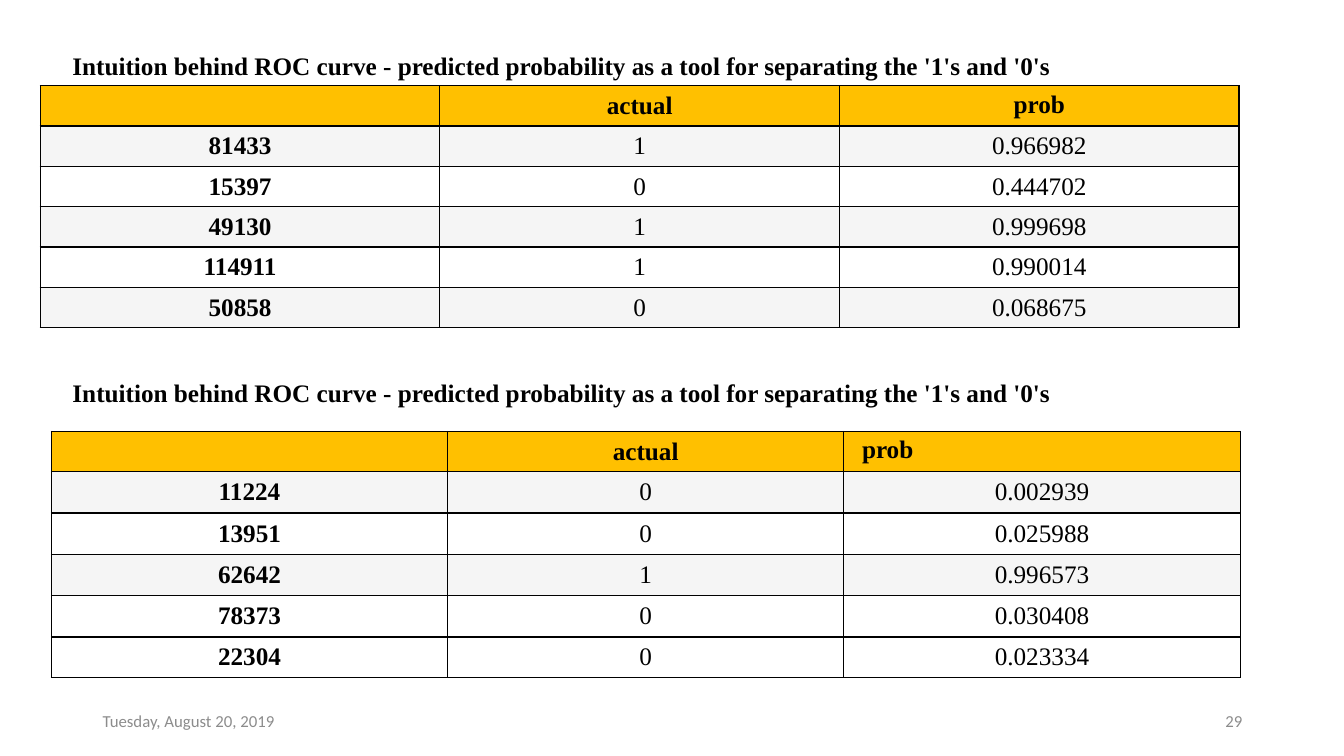
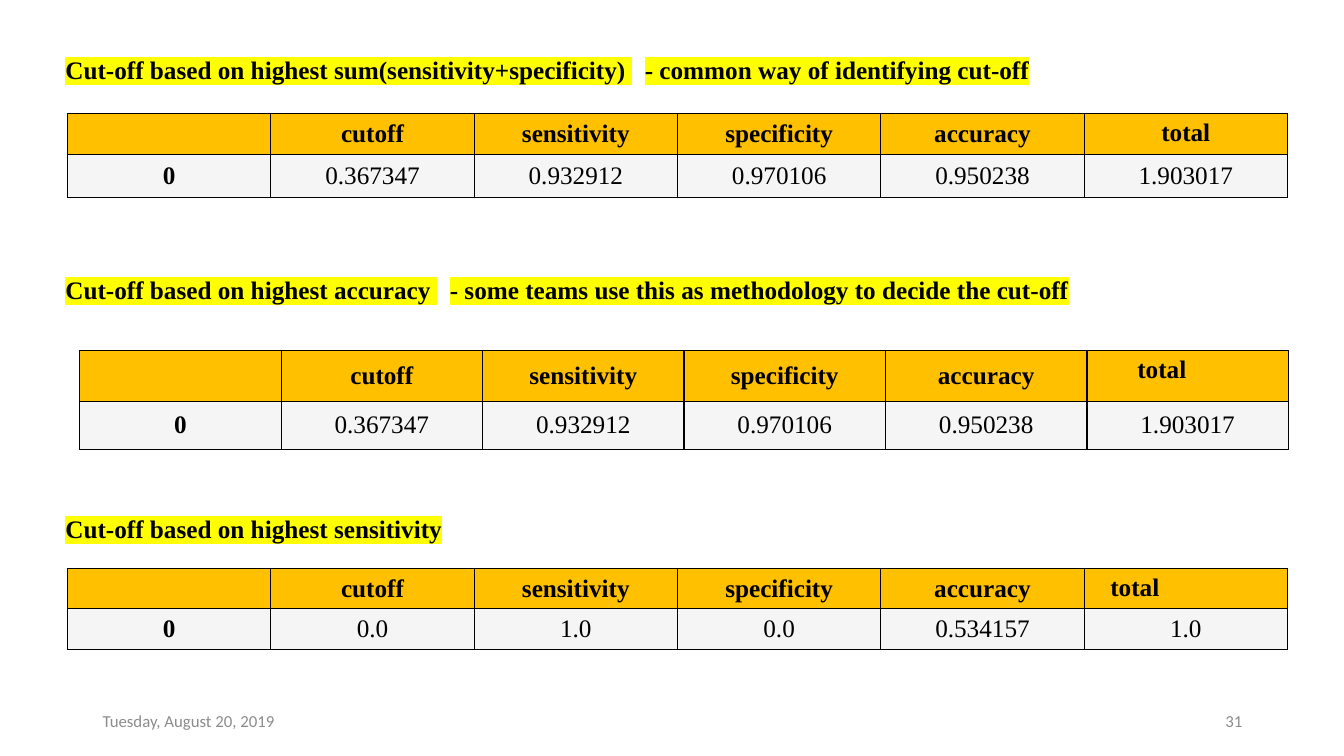
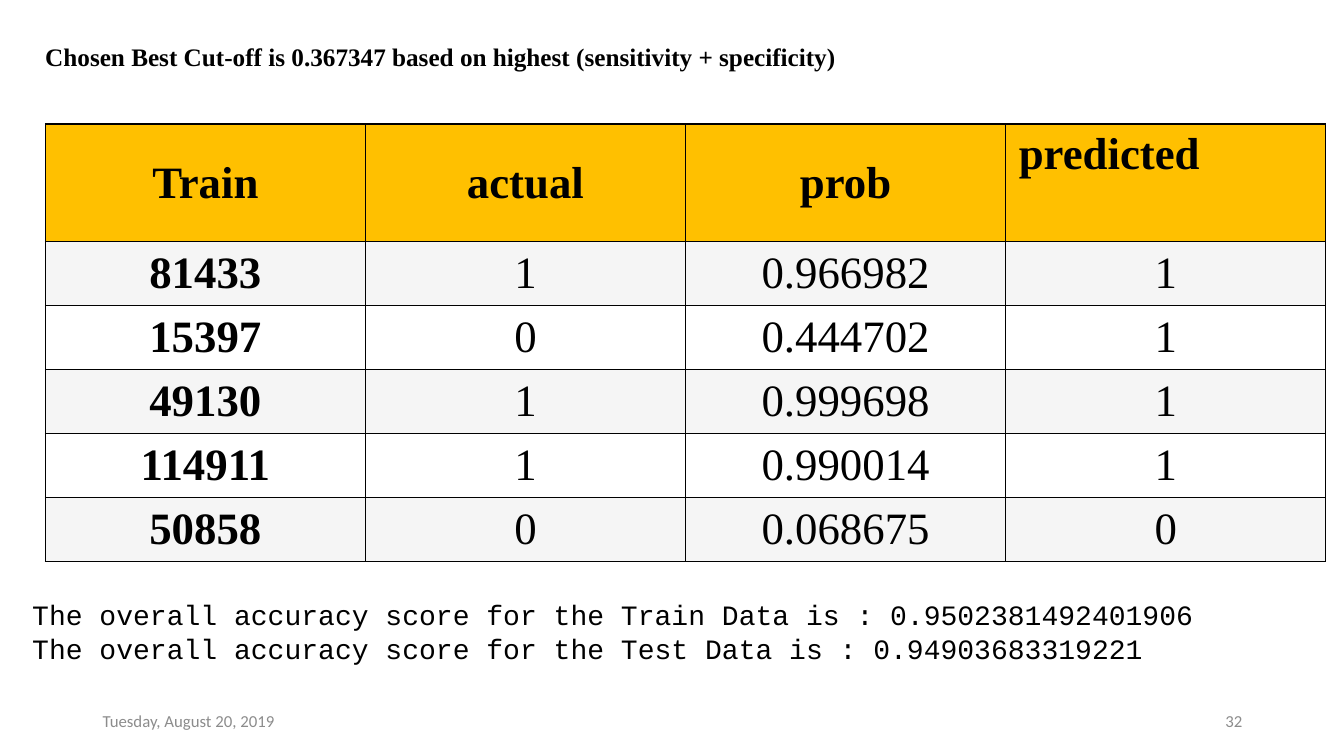
from dataclasses import dataclass

from lxml import etree
from pptx import Presentation
from pptx import util as u
from pptx.dml.color import RGBColor
from pptx.enum import shapes, text
from pptx.oxml import ns

Inches = u.Inches
LEFT, CENTER, RIGHT = text.PP_ALIGN.LEFT, text.PP_ALIGN.CENTER, text.PP_ALIGN.RIGHT
MIDDLE, TOP = text.MSO_ANCHOR.MIDDLE, text.MSO_ANCHOR.TOP


@dataclass(frozen=True)
class Theme:
    """Colours, fonts and type sizes of the deck."""
    ink: str = "000000"
    paper: str = "FFFFFF"
    header: str = "FFC000"
    stripe: str = "F5F5F5"
    marker: str = "FFFF00"
    muted: str = "8C8C8C"
    serif: str = "Times New Roman"
    sans: str = "Calibri"
    mono: str = "Courier New"
    body: int = 18
    large: int = 32
    score: int = 20
    footer: int = 12
    border: float = 1
    wide_gap: int = 9


THEME = Theme()
DATE = "Tuesday, August 20, 2019"
ROC_TITLE = ("Intuition behind ROC curve - predicted probability "
             "as a tool for separating the '1's and '0's")
METRICS = ["", "cutoff", "sensitivity", "specificity", "accuracy", "total"]
BEST_CUTOFF = ["0", "0.367347", "0.932912", "0.970106", "0.950238", "1.903017"]
TRAIN = [["81433", "1", "0.966982"], ["15397", "0", "0.444702"],
         ["49130", "1", "0.999698"], ["114911", "1", "0.990014"],
         ["50858", "0", "0.068675"]]
TEST = [["11224", "0", "0.002939"], ["13951", "0", "0.025988"],
        ["62642", "1", "0.996573"], ["78373", "0", "0.030408"],
        ["22304", "0", "0.023334"]]
PREDICTED = ["1", "1", "1", "1", "0"]


def style(para, size, face, color=THEME.ink, bold=False, align=LEFT):
    """Set the font and alignment of one paragraph."""
    para.alignment = align
    font = para.font
    font.size, font.name, font.bold = u.Pt(size), face, bold
    font.color.rgb = RGBColor.from_string(color)


def add_color(parent, tag, color):
    """Append a colour element to an XML parent."""
    holder = etree.SubElement(parent, ns.qn(tag))
    etree.SubElement(holder, ns.qn("a:srgbClr"), val=color)


def text_box(page, box):
    """Add a wrapping text box and return its frame."""
    frame = page.shapes.add_textbox(*map(Inches, box)).text_frame
    frame.word_wrap = True
    return frame


def heading(page, box, *parts, marked=False):
    """Write a bold heading whose parts are set apart by a wide space."""
    para = text_box(page, box).paragraphs[0]
    style(para, THEME.body, THEME.serif, bold=True)
    for index, part in enumerate(parts):
        pieces = [(" ", True), (part, False)] if index else [(part, False)]
        for words, widened in pieces:
            span = para.add_run()
            span.text = words
            props = span.font._element
            if widened:
                props.set("spc", str(THEME.wide_gap * 100))
            if marked:
                add_color(props, "a:highlight", THEME.marker)


def footer(page, number):
    """Write the date and the page number at the foot."""
    for left, words, align in ((0.92, DATE, LEFT), (9.42, str(number), RIGHT)):
        frame = text_box(page, (left, 6.95, 3, 0.4))
        frame.vertical_anchor = MIDDLE
        frame.text = words
        style(frame.paragraphs[0], THEME.footer, THEME.sans, THEME.muted, align=align)


def paint_cell(cell, color):
    """Rule all four sides of a cell and fill it."""
    props = cell._tc.get_or_add_tcPr()
    for side in "LRTB":
        line = etree.SubElement(props, ns.qn(f"a:ln{side}"), w=str(u.Pt(THEME.border)))
        add_color(line, "a:solidFill", THEME.ink)
    cell.fill.solid()
    cell.fill.fore_color.rgb = RGBColor.from_string(color)


def data_table(page, box, header, records, heights, size=THEME.body,
               striped=(1, 3, 5), last_inset=None):
    """Draw a ruled table; last_inset left-aligns the last header cell."""
    rows = [header] + records
    grid = page.shapes.add_table(len(rows), len(header), *map(Inches, box)).table
    grid.first_row = grid.horz_banding = False
    for column in grid.columns:
        column.width = Inches(box[2] / len(header))
    for r, (values, height) in enumerate(zip(rows, heights)):
        grid.rows[r].height = Inches(height)
        color = THEME.stripe if r in striped else THEME.paper
        for c, value in enumerate(values):
            cell = grid.cell(r, c)
            paint_cell(cell, color if r else THEME.header)
            cell.text = value
            corner = r == 0 and c == len(header) - 1
            cell.vertical_anchor = TOP if corner else MIDDLE
            indented = corner and last_inset is not None
            if indented:
                cell.margin_left = Inches(last_inset)
            style(cell.text_frame.paragraphs[0], size, THEME.serif,
                  bold=r == 0 or c == 0, align=LEFT if indented else CENTER)


def score_panel(page, box, lines):
    """Write the accuracy scores on a plain panel."""
    panel = page.shapes.add_shape(shapes.MSO_SHAPE.RECTANGLE, *map(Inches, box))
    panel.shadow.inherit = False
    panel.fill.solid()
    panel.fill.fore_color.rgb = RGBColor.from_string(THEME.paper)
    panel.line.fill.background()
    frame = panel.text_frame
    frame.word_wrap = True
    frame.vertical_anchor = MIDDLE
    frame.margin_left = frame.margin_right = frame.margin_top = frame.margin_bottom = 0
    frame.text = "\n".join(lines)
    for para in frame.paragraphs:
        style(para, THEME.score, THEME.mono)


def roc_page(page):
    """Show predicted probabilities for both samples."""
    header = ["", "actual", "prob"]
    data_table(page, (0.4, 0.85, 11.89, 2.4), header, TRAIN, [0.4] * 6)
    heading(page, (0.62, 0.45, 12.43, 0.4), ROC_TITLE)
    heading(page, (0.62, 3.69, 11.68, 0.4), ROC_TITLE)
    data_table(page, (0.51, 4.28, 11.79, 2.45), header, TEST,
               [0.4] + [0.41] * 4 + [0.4], striped=(1, 3), last_inset=0.18)


def cutoff_page(page):
    """Compare three ways of choosing the cut-off."""
    sections = [
        (0.49, ("Cut-off based on highest sum(sensitivity+specificity)",
                "- common way of identifying cut-off"),
         (0.67, 1.13, 12.1, 0.83), BEST_CUTOFF, (0.4, 0.43), None),
        (2.67, ("Cut-off based on highest accuracy",
                "- some teams use this as methodology to decide the cut-off"),
         (0.79, 3.48, 11.99, 0.98), BEST_CUTOFF, (0.5, 0.48), 0.5),
        (5.04, ("Cut-off based on highest sensitivity",),
         (0.67, 5.64, 12.1, 0.8), ["0", "0.0", "1.0", "0.0", "0.534157", "1.0"],
         (0.4, 0.4), 0.26),
    ]
    for top, title, box, record, heights, inset in sections:
        heading(page, (0.55, top, 12.22, 0.4), *title, marked=True)
        data_table(page, box, METRICS, [record], heights, last_inset=inset)


def prediction_page(page):
    """Show predictions at the chosen cut-off and the overall scores."""
    heading(page, (0.35, 0.36, 9.65, 0.4),
            "Chosen Best Cut-off is 0.367347 based on highest (sensitivity + specificity)")
    records = [record + [guess] for record, guess in zip(TRAIN, PREDICTED)]
    data_table(page, (0.45, 1.23, 12.7, 4.34), ["Train", "actual", "prob", "predicted"],
               records, [1.17] + [0.63] * 5, size=THEME.large, last_inset=0.13)
    score_panel(page, (0.32, 5.93, 12.7, 0.67), [
        "The overall accuracy score for the Train Data is : 0.9502381492401906",
        "The overall accuracy score for the Test Data is : 0.94903683319221"])


def build():
    """Build and save the deck."""
    deck = Presentation()
    deck.slide_width, deck.slide_height = Inches(13.33), Inches(7.5)
    for number, fill_page in ((29, roc_page), (31, cutoff_page), (32, prediction_page)):
        page = deck.slides.add_slide(deck.slide_layouts[6])
        fill_page(page)
        footer(page, number)
    deck.save("out.pptx")


build()
